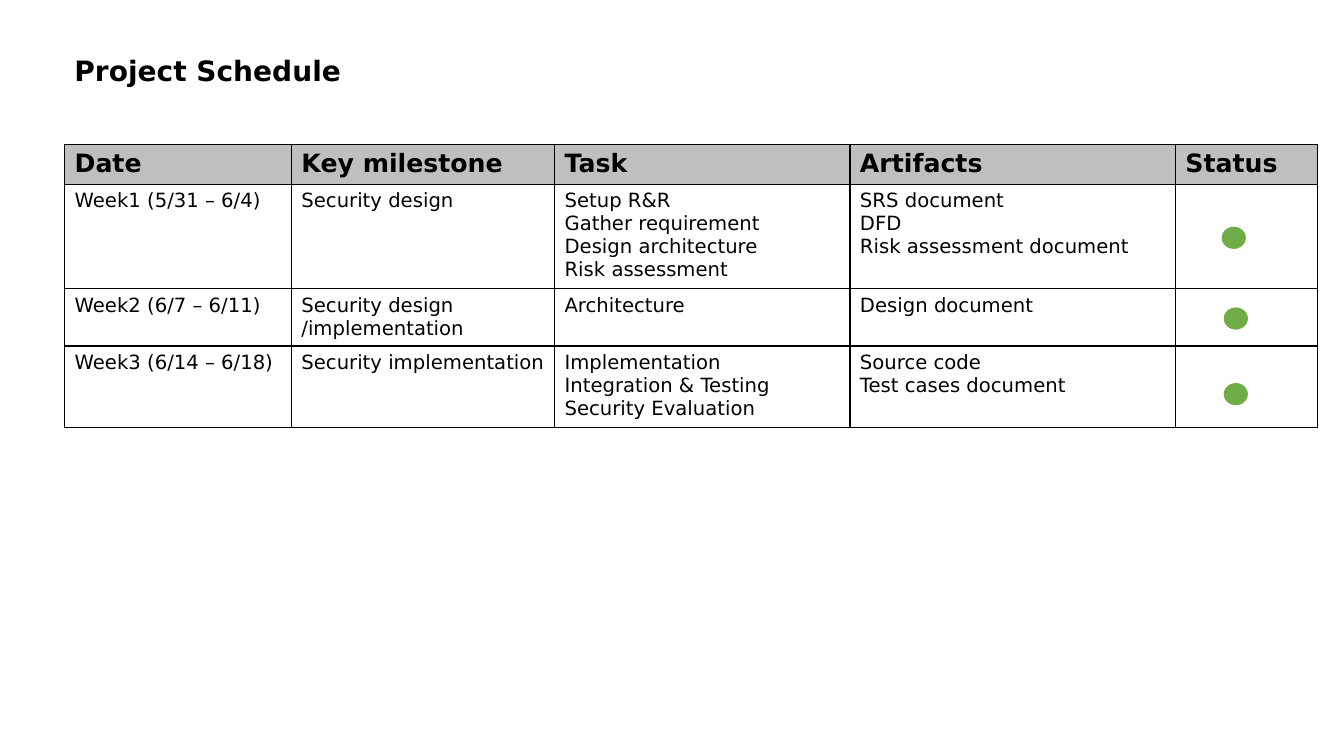
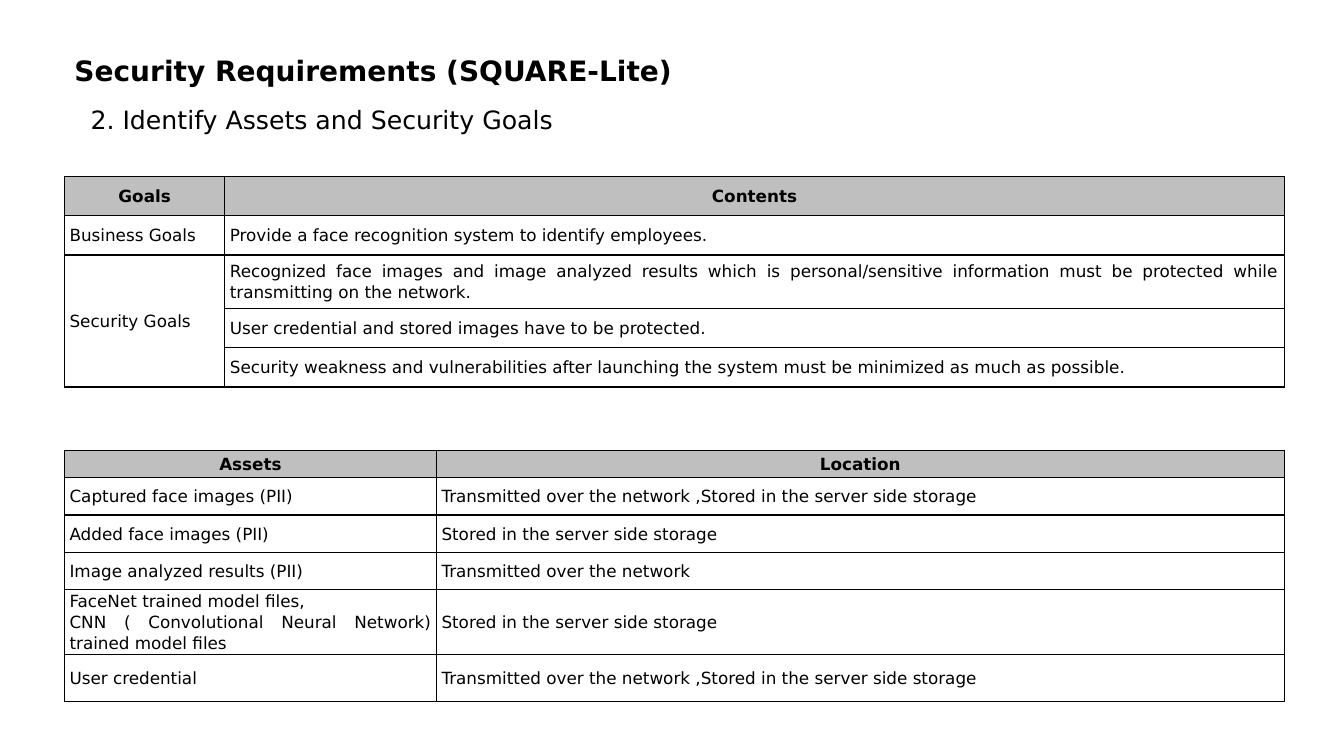
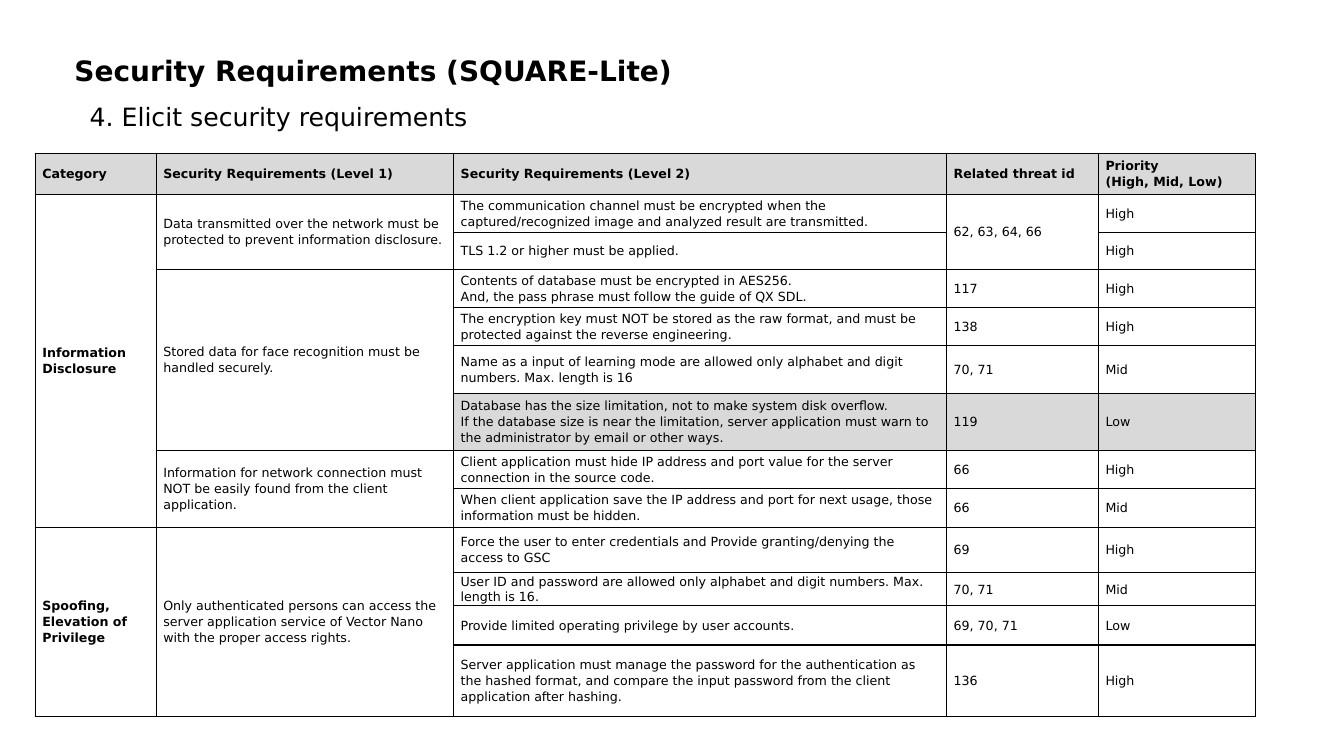
from dataclasses import dataclass
from typing import Optional

from lxml import etree
from pptx import Presentation
from pptx import util as u
from pptx.dml.color import RGBColor
from pptx.enum import shapes, text
from pptx.oxml import ns

SLIDE_WIDTH = u.Inches(13.33)
SLIDE_HEIGHT = u.Inches(7.5)
FONT = "DejaVu Sans"
BLACK = "000000"
WHITE = "FFFFFF"
GREY = "BFBFBF"
LIGHT_GREY = "D9D9D9"
GREEN = "70AD47"
LEFT = text.PP_ALIGN.LEFT
CENTER = text.PP_ALIGN.CENTER
JUSTIFY = text.PP_ALIGN.JUSTIFY
TOP = text.MSO_ANCHOR.TOP
MIDDLE = text.MSO_ANCHOR.MIDDLE
LINE_BREAK = "\v"
REQUIREMENTS = "Security Requirements (SQUARE-Lite)"


@dataclass(frozen=True)
class Box:
    left: float
    top: float
    width: float
    height: float


@dataclass(frozen=True)
class TextStyle:
    size: float
    bold: bool = False
    align: text.PP_ALIGN = LEFT
    spacing: float = 1.0


@dataclass(frozen=True)
class TableStyle:
    header: TextStyle
    body: TextStyle
    header_fill: str = GREY
    anchor: text.MSO_ANCHOR = MIDDLE
    side_margin: float = 0.05
    end_margin: float = 0
    bold_first_column: bool = False


@dataclass(frozen=True)
class TableSpec:
    left: float
    top: float
    columns: list[float]
    rows: list[float]
    cells: list[list[Optional[str]]]
    style: TableStyle
    shaded: frozenset[tuple[int, int]] = frozenset()


TITLE_BOX = Box(4.8, 3.47, 86.25, 12.13)
TITLE_STYLE = TextStyle(20, bold=True, spacing=0.9)

SCHEDULE_STYLE = TableStyle(
    TextStyle(18, bold=True), TextStyle(14), anchor=TOP, side_margin=0.1, end_margin=0.05
)
GOALS_STYLE = TableStyle(
    TextStyle(12, True, CENTER, 1.07), TextStyle(12, False, JUSTIFY, 1.07)
)
DETAIL_STYLE = TableStyle(
    TextStyle(9, True, LEFT, 1.07),
    TextStyle(9, False, LEFT, 1.07),
    header_fill=LIGHT_GREY,
    side_margin=0.07,
    bold_first_column=True,
)

SCHEDULE = TableSpec(
    4.8,
    19.07,
    [16.88, 19.58, 21.98, 24.22, 10.6],
    [5.2, 13.6, 7.47, 10.8],
    [
        ["Date", "Key milestone", "Task", "Artifacts", "Status"],
        [
            "Week1 (5/31 – 6/4)",
            "Security design",
            "Setup R&R\nGather requirement\nDesign architecture\nRisk assessment",
            "SRS document\nDFD\nRisk assessment document",
            "",
        ],
        [
            "Week2 (6/7 – 6/11)",
            "Security design /implementation",
            "Architecture",
            "Design document",
            "",
        ],
        [
            "Week3 (6/14 – 6/18)",
            "Security implementation",
            "Implementation\nIntegration & Testing\nSecurity Evaluation",
            "Source code\nTest cases document",
            "",
        ],
    ],
    SCHEDULE_STYLE,
)
STATUS_DOTS = [
    Box(left, top, 1.8, 2.93)
    for left, top in [(90.9, 30), (91.05, 40.67), (91.05, 50.67)]
]

GOALS = TableSpec(
    4.8,
    23.33,
    [11.93, 78.83],
    [5.2, 5.2, 7.07, 5.2, 5.2],
    [
        ["Goals", "Contents"],
        ["Business Goals", "Provide a face recognition system to identify employees."],
        [
            "Security Goals",
            "Recognized face images and image analyzed results which is personal/sensitive "
            "information must be protected while transmitting on the network.",
        ],
        [None, "User credential and stored images have to be protected."],
        [
            None,
            "Security weakness and vulnerabilities after launching the system must be "
            "minimized as much as possible.",
        ],
    ],
    GOALS_STYLE,
)

STORED = "Stored in the server side storage"
TRANSMITTED = "Transmitted over the network"
BOTH = f"{TRANSMITTED} ,{STORED}"
ASSETS = TableSpec(
    4.8,
    59.6,
    [27.68, 63.08],
    [3.6, 4.93, 4.93, 4.93, 8.53, 6.27],
    [
        ["Assets", "Location"],
        ["Captured face images (PII)", BOTH],
        ["Added face images (PII)", STORED],
        ["Image analyzed results (PII)", TRANSMITTED],
        [
            "FaceNet trained model files,\n"
            "CNN ( Convolutional Neural Network) trained model files",
            STORED,
        ],
        ["User credential", BOTH],
    ],
    GOALS_STYLE,
)

DETAILS = TableSpec(
    2.63,
    20.27,
    [9, 22.13, 36.68, 11.3, 11.7],
    [5.47, 5.07, 4.8, 5.07, 5.07, 6.27, 7.6, 5.07, 5.07, 6, 4.4, 5.2, 9.47],
    [
        [
            "Category",
            "Security Requirements (Level 1)",
            "Security Requirements (Level 2)",
            "Related threat id",
            "Priority\v(High, Mid, Low)",
        ],
        [
            "Information Disclosure",
            "Data transmitted over the network must be protected to prevent "
            "information disclosure.",
            "The communication channel must be encrypted when the captured/recognized "
            "image and analyzed result are transmitted.",
            "62, 63, 64, 66",
            "High",
        ],
        [None, None, "TLS 1.2 or higher must be applied.", None, "High"],
        [
            None,
            "Stored data for face recognition must be handled securely.",
            "Contents of database must be encrypted in AES256.\v"
            "And, the pass phrase must follow the guide of QX SDL.",
            "117",
            "High",
        ],
        [
            None,
            None,
            "The encryption key must NOT be stored as the raw format, and must be "
            "protected against the reverse engineering.",
            "138",
            "High",
        ],
        [
            None,
            None,
            "Name as a input of learning mode are allowed only alphabet and digit "
            "numbers. Max. length is 16",
            "70, 71",
            "Mid",
        ],
        [
            None,
            None,
            "Database has the size limitation, not to make system disk overflow.\v"
            "If the database size is near the limitation, server application must warn "
            "to the administrator by email or other ways.",
            "119",
            "Low",
        ],
        [
            None,
            "Information for network connection must NOT be easily found from the "
            "client application.",
            "Client application must hide IP address and port value for the server "
            "connection in the source code.",
            "66",
            "High",
        ],
        [
            None,
            None,
            "When client application save the IP address and port for next usage, "
            "those information must be hidden.",
            "66",
            "Mid",
        ],
        [
            "Spoofing, Elevation of Privilege",
            "Only authenticated persons can access the server application service of "
            "Vector Nano with the proper access rights.",
            "Force the user to enter credentials and Provide granting/denying the "
            "access to GSC",
            "69",
            "High",
        ],
        [
            None,
            None,
            "User ID and password are allowed only alphabet and digit numbers. Max. "
            "length is 16.",
            "70, 71",
            "Mid",
        ],
        [
            None,
            None,
            "Provide limited operating privilege by user accounts.",
            "69, 70, 71",
            "Low",
        ],
        [
            None,
            None,
            "Server application must manage the password for the authentication as the "
            "hashed format, and compare the input password from the client application "
            "after hashing.",
            "136",
            "High",
        ],
    ],
    DETAIL_STYLE,
    shaded=frozenset((6, column) for column in (2, 3, 4)),
)


def color(value: str) -> RGBColor:
    return RGBColor.from_string(value)


def across(percent: float) -> int:
    return round(SLIDE_WIDTH * percent / 100)


def down(percent: float) -> int:
    return round(SLIDE_HEIGHT * percent / 100)


def place(box: Box) -> tuple[int, int, int, int]:
    return across(box.left), down(box.top), across(box.width), down(box.height)


def write(frame, content: str, style: TextStyle) -> None:
    for index, line in enumerate(content.split("\n")):
        paragraph = frame.add_paragraph() if index else frame.paragraphs[0]
        paragraph.alignment = style.align
        paragraph.line_spacing = style.spacing
        for part_index, part in enumerate(line.split(LINE_BREAK)):
            if part_index:
                paragraph.add_line_break()
            run = paragraph.add_run()
            run.text = part
            run.font.name = FONT
            run.font.size = u.Pt(style.size)
            run.font.bold = style.bold
            run.font.color.rgb = color(BLACK)


def add_text(slide, box: Box, content: str, style: TextStyle, anchor=TOP) -> None:
    frame = slide.shapes.add_textbox(*place(box)).text_frame
    frame.word_wrap = True
    frame.vertical_anchor = anchor
    write(frame, content, style)


def add_borders(cell) -> None:
    properties = cell._tc.get_or_add_tcPr()
    for position, side in enumerate(("lnL", "lnR", "lnT", "lnB")):
        line = etree.Element(ns.qn(f"a:{side}"), w=str(u.Pt(1)))
        fill = etree.SubElement(line, ns.qn("a:solidFill"))
        etree.SubElement(fill, ns.qn("a:srgbClr"), val=BLACK)
        properties.insert(position, line)


def merge_blanks(table, cells: list[list[Optional[str]]]) -> None:
    for column in range(len(cells[0])):
        for row in range(len(cells)):
            end = row
            while end + 1 < len(cells) and cells[end + 1][column] is None:
                end += 1
            if cells[row][column] is not None and end > row:
                table.cell(row, column).merge(table.cell(end, column))


def add_table(slide, spec: TableSpec) -> None:
    style = spec.style
    box = Box(spec.left, spec.top, sum(spec.columns), sum(spec.rows))
    table = slide.shapes.add_table(len(spec.rows), len(spec.columns), *place(box)).table
    for column, width in zip(table.columns, spec.columns):
        column.width = across(width)
    for row, height in zip(table.rows, spec.rows):
        row.height = down(height)
    for row, values in enumerate(spec.cells):
        for column, value in enumerate(values):
            cell = table.cell(row, column)
            shade = LIGHT_GREY if (row, column) in spec.shaded else WHITE
            cell.fill.solid()
            cell.fill.fore_color.rgb = color(shade if row else style.header_fill)
            cell.vertical_anchor = style.anchor
            cell.margin_left = cell.margin_right = u.Inches(style.side_margin)
            cell.margin_top = cell.margin_bottom = u.Inches(style.end_margin)
            add_borders(cell)
            if value:
                heading = row == 0 or (style.bold_first_column and column == 0)
                write(cell.text_frame, value, style.header if heading else style.body)
    merge_blanks(table, spec.cells)


def add_dot(slide, box: Box) -> None:
    dot = slide.shapes.add_shape(
        shapes.MSO_SHAPE.FLOWCHART_CONNECTOR, *place(box)
    )
    dot.shadow.inherit = False
    dot.fill.solid()
    dot.fill.fore_color.rgb = color(GREEN)
    dot.line.fill.background()


def add_slide(presentation, title: str):
    slide = presentation.slides.add_slide(presentation.slide_layouts[6])
    add_text(slide, TITLE_BOX, title, TITLE_STYLE, MIDDLE)
    return slide


def main() -> None:
    presentation = Presentation()
    presentation.slide_width = SLIDE_WIDTH
    presentation.slide_height = SLIDE_HEIGHT

    schedule = add_slide(presentation, "Project Schedule")
    add_table(schedule, SCHEDULE)
    for box in STATUS_DOTS:
        add_dot(schedule, box)

    goals = add_slide(presentation, REQUIREMENTS)
    add_text(
        goals,
        Box(6, 12.93, 81.15, 5.73),
        "2. Identify Assets and Security Goals",
        TextStyle(18, align=JUSTIFY, spacing=1.07),
    )
    add_table(goals, GOALS)
    add_table(goals, ASSETS)

    details = add_slide(presentation, REQUIREMENTS)
    add_text(
        details, Box(5.93, 12.8, 39.53, 5.33), "4. Elicit security requirements", TextStyle(18)
    )
    add_table(details, DETAILS)

    presentation.save("out.pptx")


if __name__ == "__main__":
    main()
